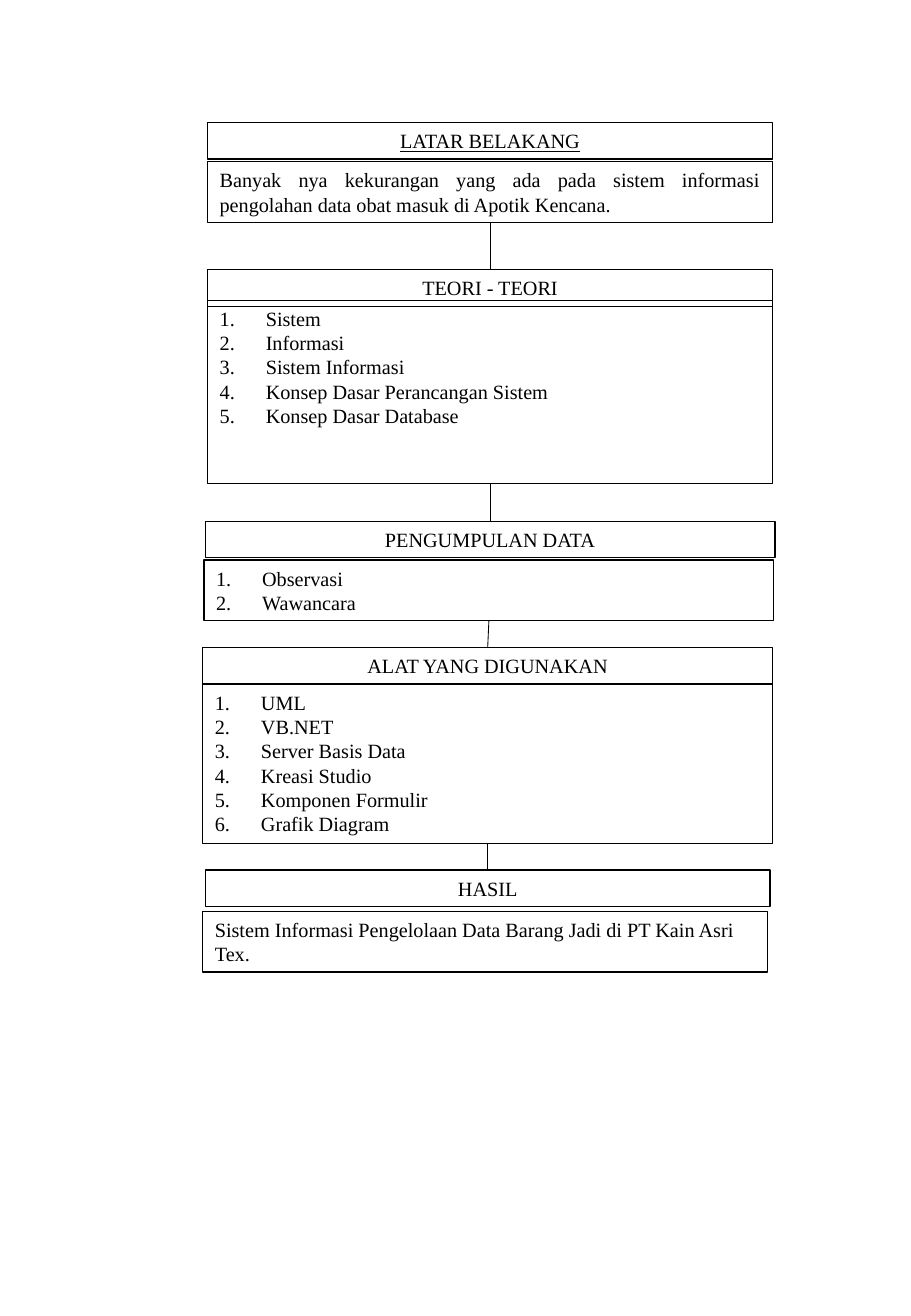
from pptx import Presentation
from pptx.dml.color import RGBColor
from pptx.enum import shapes, text
from pptx.oxml.ns import qn
from pptx.util import Inches, Pt
from lxml import etree

BLACK = RGBColor(0, 0, 0)
FONT = "Times New Roman"
HEAD_H = 0.3
ALIGN = text.PP_ALIGN

# Stages: title, (left, top, width) of the title, (left, top, height) of the body,
# body lines, alignment of the body, or None for a numbered list
STAGES = [
    ("LATAR BELAKANG", (1.71, 1.01, 4.65), (1.71, 1.33, 0.5),
     ["Banyak nya kekurangan yang ada pada sistem informasi "
      "pengolahan data obat masuk di Apotik Kencana."], ALIGN.JUSTIFY),
    ("TEORI - TEORI", (1.71, 2.22, 4.65), (1.71, 2.47, 1.51),
     ["Sistem", "Informasi", "Sistem Informasi",
      "Konsep Dasar Perancangan Sistem", "Konsep Dasar Database"], None),
    ("PENGUMPULAN DATA", (1.69, 4.29, 4.69), (1.68, 4.61, 0.5),
     ["Observasi", "Wawancara"], None),
    ("ALAT YANG DIGUNAKAN", (1.67, 5.33, 4.69), (1.67, 5.63, 1.31),
     ["UML", "VB.NET", "Server Basis Data", "Kreasi Studio",
      "Komponen Formulir", "Grafik Diagram"], None),
    ("HASIL", (1.69, 7.16, 4.65), (1.67, 7.5, 0.5),
     ["Sistem Informasi Pengelolaan Data Barang Jadi di PT Kain Asri Tex."],
     ALIGN.LEFT),
]

prs = Presentation()
prs.slide_width, prs.slide_height = Inches(7.5), Inches(10.83)
slide = prs.slides.add_slide(prs.slide_layouts[6])


def number(para):
    props = para._p.get_or_add_pPr()
    props.set("marL", str(Inches(0.38)))
    props.set("indent", str(-Inches(0.38)))
    etree.SubElement(props, qn("a:buFont"), typeface="+mj-lt")
    etree.SubElement(props, qn("a:buAutoNum"), type="arabicPeriod")


def add_box(left, top, width, height, lines, align):
    box = slide.shapes.add_textbox(*map(Inches, (left, top, width, height)))
    box.line.color.rgb = BLACK
    box.line.width = Pt(0.75)
    frame = box.text_frame
    frame.word_wrap = True
    frame.text = "\n".join(lines)
    for para in frame.paragraphs:
        if align is None:
            number(para)
        else:
            para.alignment = align
        para.font.name, para.font.size = FONT, Pt(12)
        para.font.color.rgb = BLACK
    return box


def link(upper, lower):
    line = slide.shapes.add_connector(shapes.MSO_CONNECTOR.STRAIGHT, 0, 0, 0, 0)
    line.begin_connect(upper, 2)
    line.end_connect(lower, 0)
    line.line.color.rgb = BLACK
    line.line.width = Pt(0.5)
    etree.SubElement(line._element.spPr, qn("a:effectLst"))


# Title and body boxes
heads, bodies = [], []
for title, (left, top, width), (x, y, height), lines, align in STAGES:
    heads.append(add_box(left, top, width, HEAD_H, [title], ALIGN.CENTER))
    bodies.append(add_box(x, y, width, height, lines, align))
heads[0].text_frame.paragraphs[0].runs[0].font.underline = True

# Lines from each body to the next title
for body, head in zip(bodies, heads[1:]):
    link(body, head)

prs.save("out.pptx")
